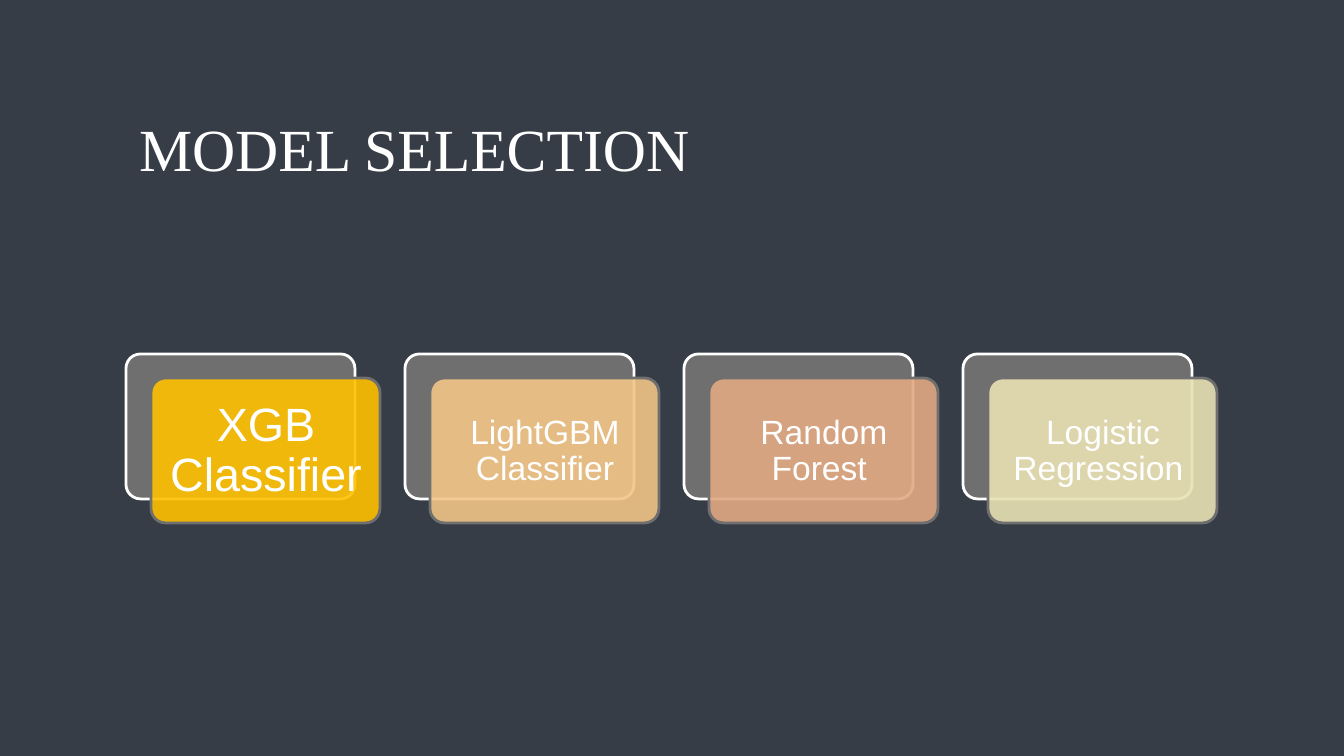
from lxml.etree import SubElement
from pptx import Presentation
from pptx.dml.color import RGBColor
from pptx.enum.shapes import MSO_SHAPE
from pptx.enum.text import MSO_ANCHOR, PP_ALIGN
from pptx.oxml.ns import qn
from pptx.util import Pt

SCALE = 9144000 / 1344  # EMU per px
COLORS = {
    "back": "363D46", "white": "FFFFFF", "gray": "6F6F6F",
    "gold": "FFC000", "sand": "F1C587", "clay": "E2A983", "cream": "E9E2B4",
}


def px(num):
    return round(num * SCALE)


def tint(name):
    return RGBColor.from_string(COLORS[name])


class Deck:
    def __init__(self, wide, high):
        self.file = Presentation()
        self.file.slide_width, self.file.slide_height = px(wide), px(high)
        self.slide = self.file.slides.add_slide(self.file.slide_layouts[6])
        fill = self.slide.background.fill
        fill.solid()
        fill.fore_color.rgb = tint("back")

    def card(self, box, color, edge, alpha=None):
        shape = self.slide.shapes.add_shape(
            MSO_SHAPE.ROUNDED_RECTANGLE, *map(px, box))
        shape.shadow.inherit = False
        shape.adjustments[0] = 0.1
        shape.fill.solid()
        shape.fill.fore_color.rgb = tint(color)
        shape.line.color.rgb = tint(edge)
        shape.line.width = Pt(1.5)
        if alpha:
            tone = shape.fill._xPr.find(qn("a:solidFill"))[0]
            SubElement(tone, qn("a:alpha"), val=str(alpha * 1000))

    def text(self, box, words, size, pad, font="Arial",
             align=PP_ALIGN.CENTER, space=0.9):
        frame = self.slide.shapes.add_textbox(*map(px, box)).text_frame
        frame.word_wrap = True
        frame.vertical_anchor = MSO_ANCHOR.MIDDLE
        frame.margin_left = frame.margin_right = px(pad[0])
        frame.margin_top = frame.margin_bottom = px(pad[1])
        frame.text = words
        para = frame.paragraphs[0]
        para.alignment = align
        para.line_spacing = space
        face = para.runs[0].font
        face.name, face.size = font, Pt(size)
        face.color.rgb = tint("white")


def main():
    deck = Deck(1344, 756)

    # Title
    deck.text((126, 67, 1091, 161), "MODEL SELECTION", 32, (13, 7),
              "Times New Roman", PP_ALIGN.LEFT, 1.0)

    # Model cards: a gray card behind, a tinted card and its label in front
    models = [
        ("XGB Classifier", "gold", 25, 13),
        ("LightGBM Classifier", "sand", 18, 9),
        ("Random Forest ", "clay", 18, 9),
        ("Logistic Regression ", "cream", 18, 9),
    ]
    left, top, step = 126, 354, 279
    for i, (name, color, size, pad) in enumerate(models):
        x = left + i * step
        deck.card((x, top, 229, 145), "gray", "white")
        deck.card((x + 25, top + 24, 229, 145), color, "gray", 90)
        deck.text((x + 30, top + 29, 220, 137), name, size, (pad, pad))

    deck.file.save("out.pptx")


if __name__ == "__main__":
    main()
